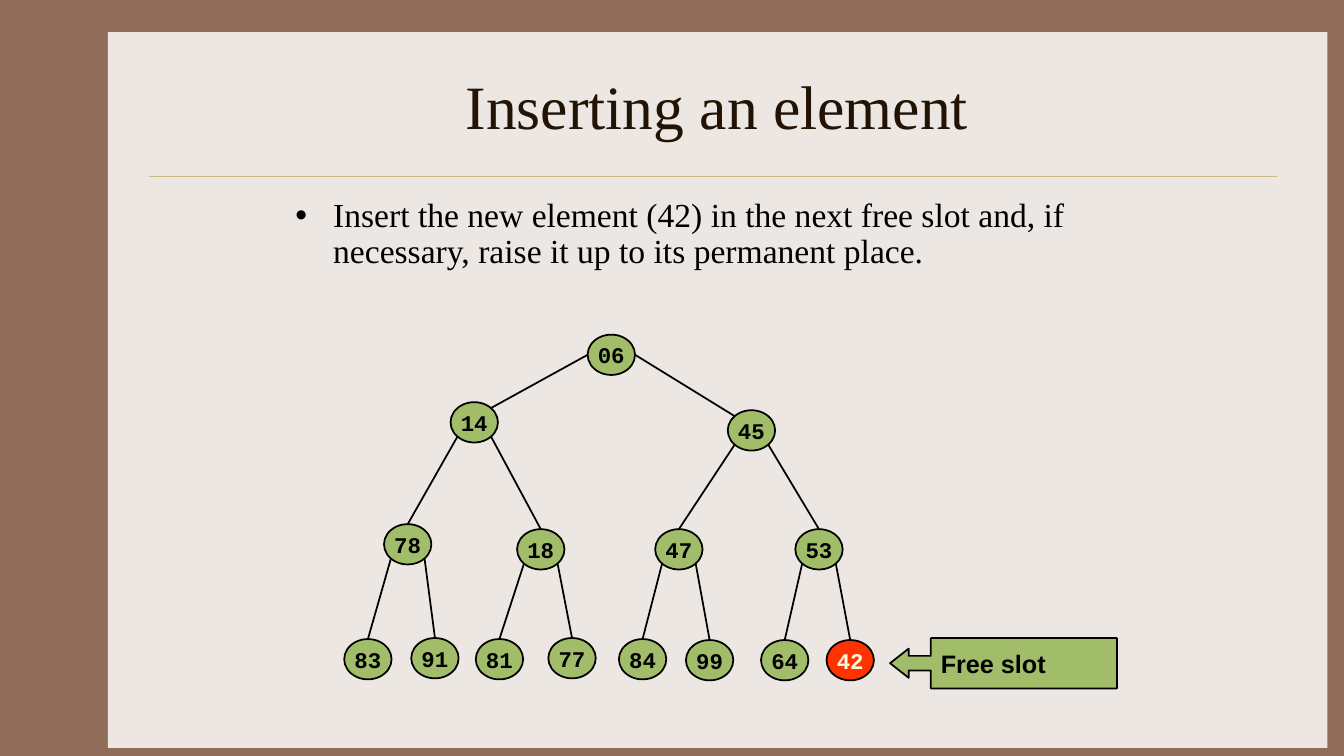
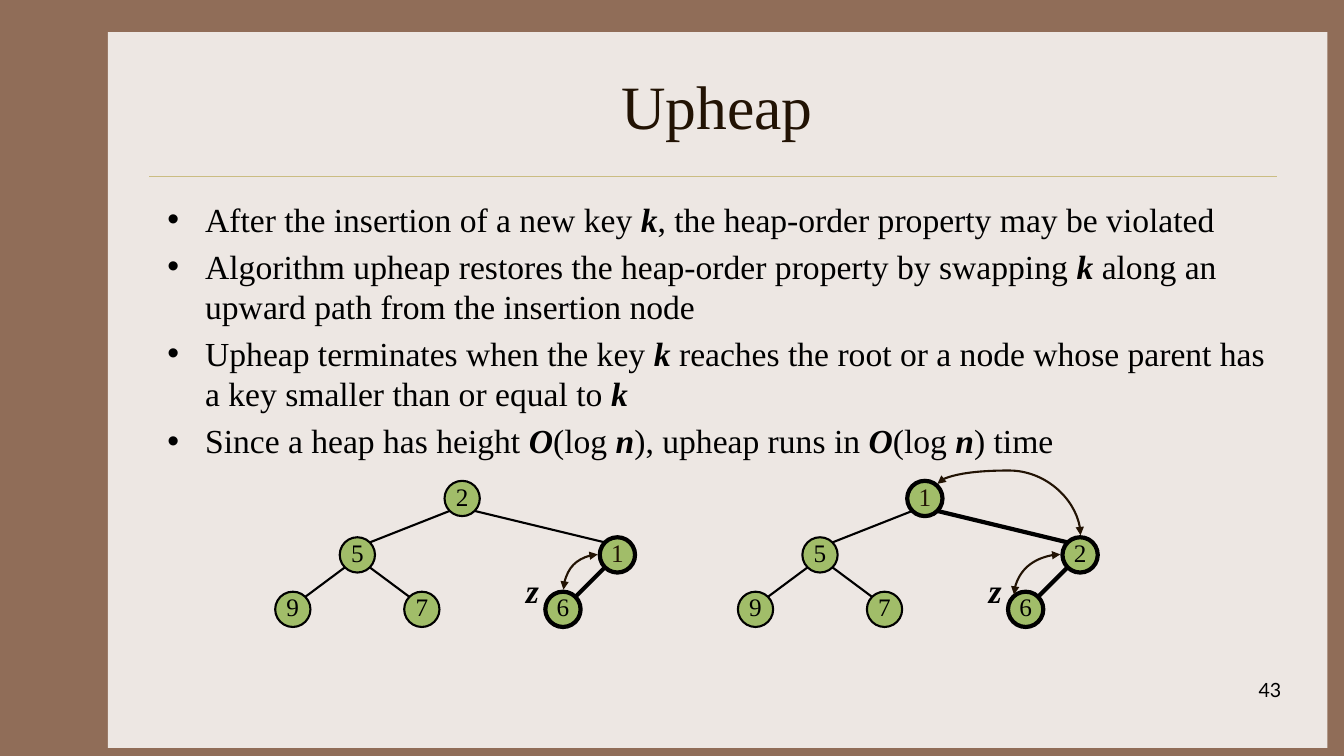
from dataclasses import dataclass

from lxml.etree import SubElement
from pptx import Presentation
from pptx.dml.color import RGBColor as Rgb
from pptx.enum.shapes import MSO_CONNECTOR as Link, MSO_SHAPE as Form
from pptx.enum.text import MSO_ANCHOR as Anchor, MSO_AUTO_SIZE as Fit, PP_ALIGN as Align
from pptx.oxml.ns import qn
from pptx.util import Inches, Pt


@dataclass(frozen=True)
class Theme:
    frame: str = "906D58"
    paper: str = "EDE7E3"
    rule: str = "CBBD83"
    dark: str = "221304"
    ink: str = "000000"
    leaf: str = "A1BD69"
    alert: str = "FF3300"
    cream: str = "FEFDE3"
    serif: str = "Times New Roman"
    mono: str = "Courier New"
    sans: str = "Arial"
    page: str = "Lato"
    head: int = 44
    body: int = 24
    label: int = 18
    code: int = 16
    small: int = 14
    hair: float = 0.25
    thin: float = 1.25
    line: float = 1.5
    thick: float = 3


@dataclass(frozen=True)
class Look:
    wide: float
    high: float
    font: str
    size: int
    line: float
    bold: bool = False
    inset: tuple = (1, 0.5, 1, 0.5)


def cells(*counts):
    return [Inches(count / 10) for count in counts]


def write(frame, text, *, size, font, hue, bold=False, slant=False, align=None, lead=None):
    for i, line in enumerate(text.split("\n")):
        para = frame.paragraphs[0] if i == 0 else frame.add_paragraph()
        if i == 0:
            para.space_before = Pt(0)
        if align is not None:
            para.alignment = align
        if lead:
            para.line_spacing = lead
        for j, part in enumerate(line.split("*")):
            if not part:
                continue
            run = para.add_run()
            run.text = part
            run.font.size = Pt(size)
            run.font.name = font
            run.font.bold = bold or j % 2 == 1
            run.font.italic = slant or j % 2 == 1
            run.font.color.rgb = Rgb.from_string(hue)


def pad(frame, inset):
    (frame.margin_left, frame.margin_top,
     frame.margin_right, frame.margin_bottom) = cells(*inset)


class Deck:
    def __init__(self, theme):
        self.theme = theme
        self.file = Presentation()
        self.file.slide_width, self.file.slide_height = cells(133.33, 75)
        self.slide = None

    def base(self):
        master = self.file.slide_master
        fill = master.background.fill
        fill.solid()
        fill.fore_color.rgb = Rgb.from_string(self.theme.frame)
        paper = self.shape(Form.RECTANGLE, 10.7, 3.2, 121, 71, self.theme.paper)
        rule = self.link((14.8, 17.5), (126.7, 17.5), self.theme.rule, self.theme.hair)
        for i, item in enumerate((paper, rule)):
            item.element.xpath(".//p:cNvPr")[0].set("id", str(20 + i))
            master.shapes.element.insert(2 + i, item.element)

    def page(self, title, text, box, lead=None):
        first = self.slide is None
        self.slide = self.file.slides.add_slide(self.file.slide_layouts[1])
        if first:
            self.base()
        head, body = self.slide.placeholders
        look = self.theme
        self.place(head, (15.6, 4.2, 111.1, 12.5), Anchor.MIDDLE)
        write(head.text_frame, title, size=look.head, font=look.serif,
              hue=look.dark, align=Align.CENTER)
        self.place(body, box, Anchor.TOP)
        write(body.text_frame, text, size=look.body, font=look.serif,
              hue=look.ink, lead=lead)

    def place(self, holder, box, anchor):
        holder.left, holder.top, holder.width, holder.height = cells(*box)
        holder.text_frame.auto_size = Fit.NONE
        holder.text_frame.vertical_anchor = anchor

    def shape(self, form, x, y, wide, high, fill, width=None):
        item = self.slide.shapes.add_shape(form, *cells(x, y, wide, high))
        item.shadow.inherit = False
        item.fill.solid()
        item.fill.fore_color.rgb = Rgb.from_string(fill)
        if width:
            item.line.color.rgb = Rgb.from_string(self.theme.ink)
            item.line.width = Pt(width)
        else:
            item.line.fill.background()
        return item

    def link(self, start, end, hue, width, kind=Link.STRAIGHT):
        item = self.slide.shapes.add_connector(kind, *cells(*start, *end))
        item.line.color.rgb = Rgb.from_string(hue)
        item.line.width = Pt(width)
        SubElement(item.element.spPr, qn("a:effectLst"))
        return item

    def arc(self, start, end, bend=None):
        if bend:
            mid = [(a + b) / 2 for a, b in zip(start, end)]
            start, end = [(mid[0] + y - mid[1], mid[1] - x + mid[0])
                          for x, y in (start, end)]
        item = self.link(start, end, self.theme.dark, self.theme.line, Link.CURVE)
        shape = item.element.spPr
        geom = shape.find(qn("a:prstGeom"))
        if bend:
            shape.find(qn("a:xfrm")).set("rot", str(90 * 60000))
            guides = geom.find(qn("a:avLst"))
            if guides is None:
                guides = SubElement(geom, qn("a:avLst"))
            SubElement(guides, qn("a:gd"), name="adj1", fmla=f"val {round(bend * 100000)}")
        else:
            geom.set("prst", "curvedConnector2")
        stroke = shape.find(qn("a:ln"))
        for tip in ("a:headEnd", "a:tailEnd"):
            SubElement(stroke, qn(tip), type="triangle")

    def text(self, text, x, y, wide, high, wrap=True, **form):
        frame = self.slide.shapes.add_textbox(*cells(x, y, wide, high)).text_frame
        frame.word_wrap = wrap
        write(frame, text, **form)

    def node(self, text, spot, look, fill, hue, width):
        x, y = spot
        item = self.shape(Form.OVAL, x - look.wide / 2, y - look.high / 2,
                          look.wide, look.high, fill, width)
        frame = item.text_frame
        frame.word_wrap = False
        frame.vertical_anchor = Anchor.MIDDLE
        pad(frame, look.inset)
        write(frame, text, size=look.size, font=look.font, hue=hue,
              bold=look.bold, align=Align.CENTER)

    def tree(self, nodes, look, ports, marks, trail=(), shift=0):
        spots = [(x + shift, y) for _, x, y in nodes]

        def site(i, way):
            dx, dy = way
            part = 0.71 if dx and dy else 1
            x, y = spots[i]
            return x + dx * part * look.wide / 2, y + dy * part * look.high / 2

        for i in range(1, len(nodes)):
            up = (i - 1) // 2
            side = 1 if spots[i][0] > spots[up][0] else -1
            start, end = ports(up, side)
            bold = i in trail and up in trail
            self.link(site(up, start), site(i, end), self.theme.ink,
                      self.theme.thick if bold else look.line)
        for i, (text, _, _) in enumerate(nodes):
            fill, hue = marks.get(i, (self.theme.leaf, self.theme.ink))
            self.node(text, spots[i], look, fill, hue,
                      self.theme.thick if i in trail else look.line)

    def callout(self, text, x, y, wide, high):
        look = self.theme
        item = self.shape(Form.LEFT_ARROW_CALLOUT, x, y, wide, high, look.leaf, look.thin)
        for i, share in enumerate((0.29, 0.29, 0.37, 0.82)):
            item.adjustments[i] = share
        frame = item.text_frame
        frame.vertical_anchor = Anchor.MIDDLE
        pad(frame, (1, 0.5, 1, 0.5))
        write(frame, text, size=look.label, font=look.sans, hue=look.ink,
              bold=True, align=Align.LEFT)


def insert(deck):
    theme = deck.theme
    deck.page("Inserting an element",
              "Insert the new element (42) in the next free slot and, if necessary, "
              "raise it up to its permanent place.",
              (28.3, 19.2, 83.3, 15.8), lead=0.9)
    nodes = [
        ("06", 60.65, 35.2), ("14", 47.05, 41.9), ("45", 74.55, 42.7),
        ("78", 40.45, 54), ("18", 53.65, 54.5), ("47", 67.35, 54.5), ("53", 81.25, 54.5),
        ("83", 36.5, 65.4), ("91", 43.15, 65.3), ("81", 49.55, 65.4), ("77", 56.75, 65.3),
        ("84", 63.75, 65.4), ("99", 70.4, 65.5), ("64", 77.85, 65.5), ("42", 84.35, 65.5),
    ]
    look = Look(4.7, 4, theme.mono, theme.code, theme.thin, bold=True)

    def ports(up, side):
        return ((side, 1), (0, -1)) if up else ((side, 0), (-side, -1))

    deck.tree(nodes, look, ports, {14: (theme.alert, theme.cream)})
    deck.callout("Free slot", 88.3, 63.3, 22.5, 5)


def upheap(deck):
    theme = deck.theme
    deck.page("Upheap",
              "After the insertion of a new key *k*, the heap-order property may be violated\n"
              "Algorithm upheap restores the heap-order property by swapping *k* along an "
              "upward path from the insertion node\n"
              "Upheap terminates when the key *k* reaches the root or a node whose parent "
              "has a key smaller than or equal to *k*\n"
              "Since a heap has height *O*(log *n*), upheap runs in *O*(log *n*) time",
              (15.6, 19.2, 111.1, 45))
    deck.text("43", 100.3, 66.8, 27.8, 5, size=theme.small, font=theme.page,
              hue=theme.ink, align=Align.RIGHT)
    spots = [(45.85, 49.45), (35.45, 55.05), (61.25, 55.05),
             (29.05, 60.45), (41.85, 60.45), (55.85, 60.45)]
    look = Look(3.5, 3.5, theme.serif, theme.label, theme.line, inset=(0, 0, 0, 0.5))

    def ports(up, side):
        return (side, 1), (-side, -1)

    for keys, trail, shift in (("251976", (2, 5), 0), ("152976", (0, 2, 5), 45.9)):
        nodes = [(key, *spot) for key, spot in zip(keys, spots)]
        marks = {keys.index("1"): (theme.leaf, theme.dark)}
        deck.tree(nodes, look, ports, marks, trail, shift)
        deck.text("z", 51.2 + shift, 56, 3.3, 5, wrap=False, size=theme.body,
                  font=theme.serif, hue=theme.ink, bold=True, slant=True)
    deck.arc((107.2, 53.1), (93, 48), bend=1.26)
    deck.arc((105.2, 55), (100.6, 59))
    deck.arc((59.3, 55), (55.9, 58.5))


def main():
    deck = Deck(Theme())
    insert(deck)
    upheap(deck)
    deck.file.save("out.pptx")


if __name__ == "__main__":
    main()
